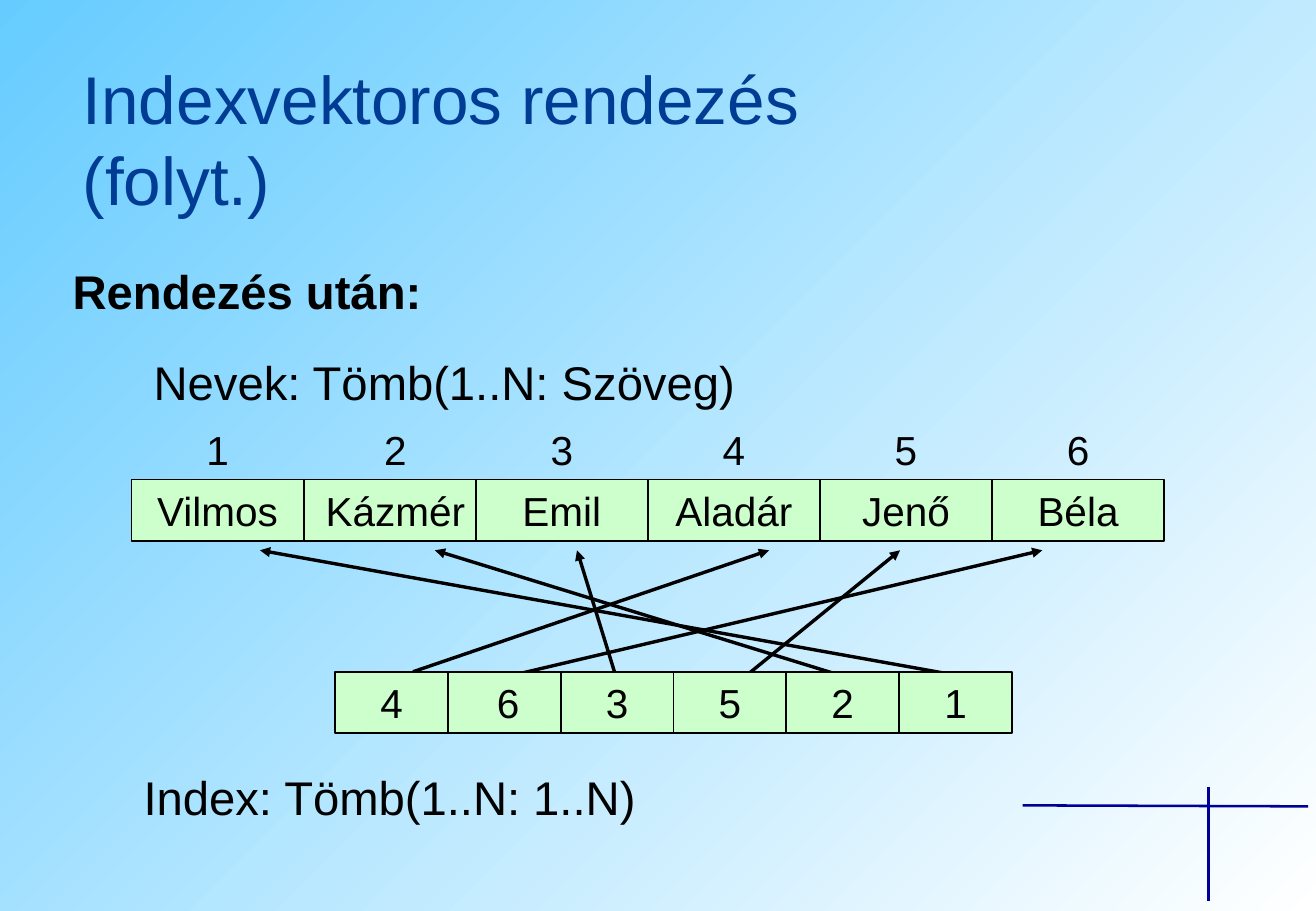
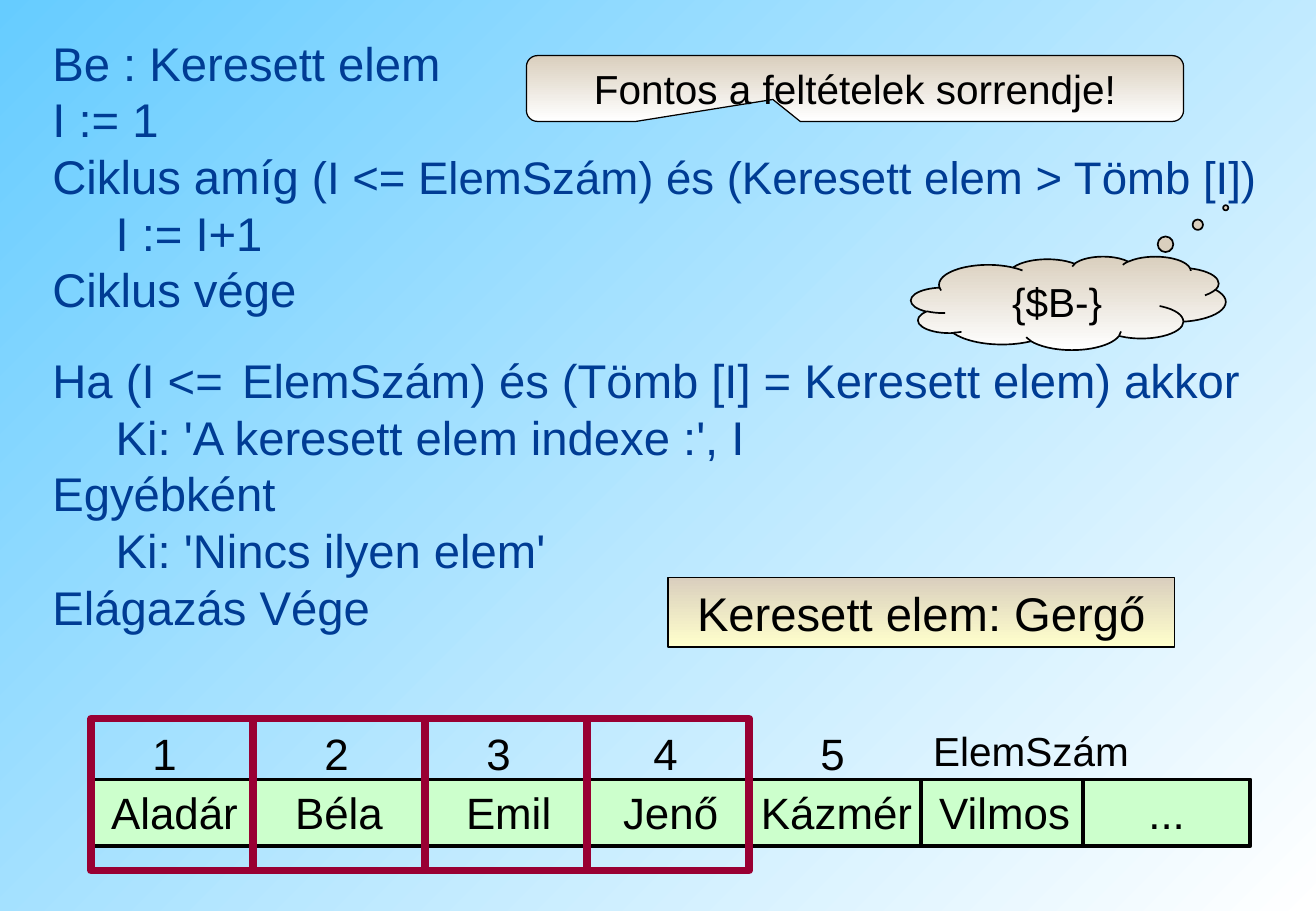
from dataclasses import dataclass
from itertools import accumulate
from typing import Optional

from lxml import etree
from pptx import Presentation, util as u
from pptx.dml import color as dml
from pptx.enum import shapes, text
from pptx.oxml import ns

FONT = "Arial"
COLORS = {
    "sky": "66CCFF",
    "white": "FFFFFF",
    "title": "003C94",
    "black": "000000",
    "cross": "000099",
    "cell": "CCFFCC",
    "frame": "990033",
    "sand": "DACFBE",
    "cream": "FFFFCC",
}
LEFT, CENTER = text.PP_ALIGN.LEFT, text.PP_ALIGN.CENTER
CODE_TABS = [37.5 * step for step in range(1, 5)]


@dataclass(frozen=True)
class Box:
    left: float
    top: float
    width: float
    height: float

    def lengths(self) -> list:
        return [u.Pt(v) for v in (self.left, self.top, self.width, self.height)]


@dataclass(frozen=True)
class Span:
    words: str
    size: float
    color: str = "black"
    bold: bool = False


@dataclass(frozen=True)
class Cell:
    label: str
    left: float
    width: float
    align: text.PP_ALIGN = CENTER


@dataclass(frozen=True)
class Row:
    cells: list[Cell]
    top: float
    height: float
    size: float
    border: Optional[float] = None


@dataclass(frozen=True)
class Callout:
    kind: shapes.MSO_SHAPE
    box: Box
    label: str
    size: float
    border: float
    end: str = "white"
    hanging: float = 0
    adjustments: tuple = ()


def rgb(name: str) -> dml.RGBColor:
    return dml.RGBColor.from_string(COLORS[name])


def gradient(fill, start: str, end: str, angle: float) -> None:
    fill.gradient()
    fill.gradient_angle = angle
    for stop, name in zip(fill.gradient_stops, (start, end)):
        stop.color.rgb = rgb(name)


def write(frame, paragraphs: list[list[Span]], align=LEFT, gap: float = 0,
          hanging: float = 0, tabs=(), anchor=text.MSO_ANCHOR.TOP) -> None:
    frame.word_wrap = True
    frame.vertical_anchor = anchor
    for number, spans in enumerate(paragraphs):
        paragraph = frame.add_paragraph() if number else frame.paragraphs[0]
        properties = paragraph._p.get_or_add_pPr()
        if hanging:
            properties.set("marL", str(u.Pt(hanging)))
            properties.set("indent", str(-u.Pt(hanging)))
        if tabs:
            stops = etree.SubElement(properties, ns.qn("a:tabLst"))
            for place in tabs:
                etree.SubElement(stops, ns.qn("a:tab"), pos=str(u.Pt(place)), algn="l")
        paragraph.alignment = align
        if number:
            paragraph.space_before = u.Pt(gap)
        for span in spans:
            for line, words in enumerate(span.words.split("\n")):
                if line:
                    paragraph.add_line_break()
                if words:
                    run = paragraph.add_run()
                    run.text = words
                    run.font.name = FONT
                    run.font.size = u.Pt(span.size)
                    run.font.bold = span.bold
                    run.font.color.rgb = rgb(span.color)


def add_label(slide, box: Box, paragraphs: list[list[Span]], **style) -> None:
    write(slide.shapes.add_textbox(*box.lengths()).text_frame, paragraphs, **style)


def add_outlined(slide, kind: shapes.MSO_SHAPE, box: Box, border: float, color: str = "black"):
    shape = slide.shapes.add_shape(kind, *box.lengths())
    shape.shadow.inherit = False
    shape.fill.background()
    shape.line.color.rgb = rgb(color)
    shape.line.width = u.Pt(border)
    return shape


def add_row(slide, row: Row) -> None:
    for cell in row.cells:
        box = Box(cell.left, row.top, cell.width, row.height)
        label = [[Span(cell.label, row.size)]]
        if row.border is None:
            add_label(slide, box, label, align=cell.align)
        else:
            shape = add_outlined(slide, shapes.MSO_SHAPE.RECTANGLE, box, row.border)
            shape.fill.solid()
            shape.fill.fore_color.rgb = rgb("cell")
            write(shape.text_frame, label, align=cell.align)


def add_callout(slide, callout: Callout) -> None:
    shape = add_outlined(slide, callout.kind, callout.box, callout.border)
    for index, value in enumerate(callout.adjustments):
        shape.adjustments[index] = value
    gradient(shape.fill, "sand", callout.end, 270)
    write(shape.text_frame, [[Span(callout.label, callout.size)]], align=CENTER,
          hanging=callout.hanging, anchor=text.MSO_ANCHOR.MIDDLE)


def add_line(slide, start: tuple, end: tuple, color: str, width: float,
             arrow: bool = False) -> None:
    line = slide.shapes.add_connector(
        shapes.MSO_CONNECTOR.STRAIGHT, *[u.Pt(v) for v in (*start, *end)])
    line.line.color.rgb = rgb(color)
    line.line.width = u.Pt(width)
    if arrow:
        etree.SubElement(line.line._get_or_add_ln(), ns.qn("a:tailEnd"), type="triangle")
    etree.SubElement(line._element.spPr, ns.qn("a:effectLst"))


def even_cells(labels: list[str], left: float, pitch: float, second: float) -> list[Cell]:
    return [Cell(label, left + pitch * i, second if i == 1 else pitch)
            for i, label in enumerate(labels)]


def new_slide(deck):
    slide = deck.slides.add_slide(deck.slide_layouts[6])
    gradient(slide.background.fill, "white", "sky", 135)
    return slide


def build_index_sort(deck) -> None:
    slide = new_slide(deck)
    add_line(slide, (606.2, 477.4), (775.4, 478), "cross", 1.5)
    add_line(slide, (716.4, 466.5), (716.4, 534.2), "cross", 1.5)
    add_label(slide, Box(42, 30, 648, 104),
              [[Span("Indexvektoros rendezés\n(folyt.)", 40, "title")]])
    for left, top, words, bold in (
        (36, 152, "Rendezés után:", True),
        (84, 206, "Nevek: Tömb(1..N: Szöveg)", False),
        (78, 452, "Index: Tömb(1..N: 1..N)", False),
    ):
        add_label(slide, Box(left, top, 371.5, 41), [[Span(words, 28, bold=bold)]], hanging=27)

    arrows = [((288, 404), 617.8), ((244.8, 398.2), 455.8), ((366, 404), 342),
              ((438, 404), 533.5), ((510, 404), 257.8), ((587.5, 404), 154.1)]
    for start, name_x in arrows:
        add_line(slide, start, (name_x, 326.2), "black", 2, arrow=True)

    names = ["Vilmos", "Kázmér", "Emil", "Aladár", "Jenő", "Béla"]
    positions = [str(n) for n in range(1, len(names) + 1)]
    add_row(slide, Row(even_cells(names, 78, 102, 108.7), 284.3, 36.3, 24, 1))
    add_row(slide, Row(even_cells(positions, 78, 102, 108.7), 248.3, 36.3, 24))
    add_row(slide, Row(even_cells(list("463521"), 198.7, 66.85, 71.3), 398.2, 36.3, 24, 1))


def build_ordered_search(deck) -> None:
    slide = new_slide(deck)
    search_loop = [
        Span("Be : Keresett elem\nI := 1\nCiklus amíg ", 28, "title"),
        Span("(I <= ElemSzám) és (Keresett elem > Tömb [I])\n", 27, "title"),
        Span("\tI := I+1\nCiklus vége", 28, "title"),
    ]
    verdict = [Span(
        "Ha (I <=\tElemSzám) és (Tömb [I] = Keresett elem) akkor\n"
        "\tKi: 'A keresett elem indexe :', I\nEgyébként\n"
        "\tKi: 'Nincs ilyen elem'\nElágazás Vége", 28, "title")]
    add_label(slide, Box(24, 16.5, 731.5, 363.6), [search_loop, verdict],
              gap=20, tabs=CODE_TABS)

    names = ["Aladár", "Béla", "Emil", "Jenő", "Kázmér", "Vilmos", "..."]
    pitches = [96, 102, 96, 96, 102, 96]
    lefts = list(accumulate(pitches, initial=54))
    widths = [99, 102, 99, 99, 111, 99, 99]
    cells = [Cell(name, left, width, LEFT if name == "Kázmér" else CENTER)
             for name, left, width in zip(names, lefts, widths)]
    add_row(slide, Row(cells, 462, 39.6, 26, 2.25))
    add_row(slide, Row(even_cells(list("12345"), 48, 99, 105), 427, 39, 26))
    add_row(slide, Row([Cell("ElemSzám", 546, 132, LEFT)], 427, 36, 24))
    for left, pitch in zip(lefts[:4], pitches):
        add_outlined(slide, shapes.MSO_SHAPE.RECTANGLE, Box(left, 426, pitch, 90), 4.5, "frame")

    for callout in (
        Callout(shapes.MSO_SHAPE.CLOUD_CALLOUT, Box(540, 152, 186.5, 55.4), "{$B-}",
                24, 1, hanging=27, adjustments=(0.5, -1.02)),
        Callout(shapes.MSO_SHAPE.ROUNDED_RECTANGULAR_CALLOUT, Box(312, 33, 389.5, 39),
                "Fontos a feltételek sorrendje!", 24, 0.75, hanging=27,
                adjustments=(-0.125, 0.167, 0.167)),
        Callout(shapes.MSO_SHAPE.RECTANGLE, Box(396, 342.5, 300, 41),
                "Keresett elem: Gergő", 28, 0.75, end="cream"),
    ):
        add_callout(slide, callout)


def main() -> None:
    deck = Presentation()
    deck.slide_width, deck.slide_height = u.Pt(780), u.Pt(540)
    build_index_sort(deck)
    build_ordered_search(deck)
    deck.save("out.pptx")


if __name__ == "__main__":
    main()
